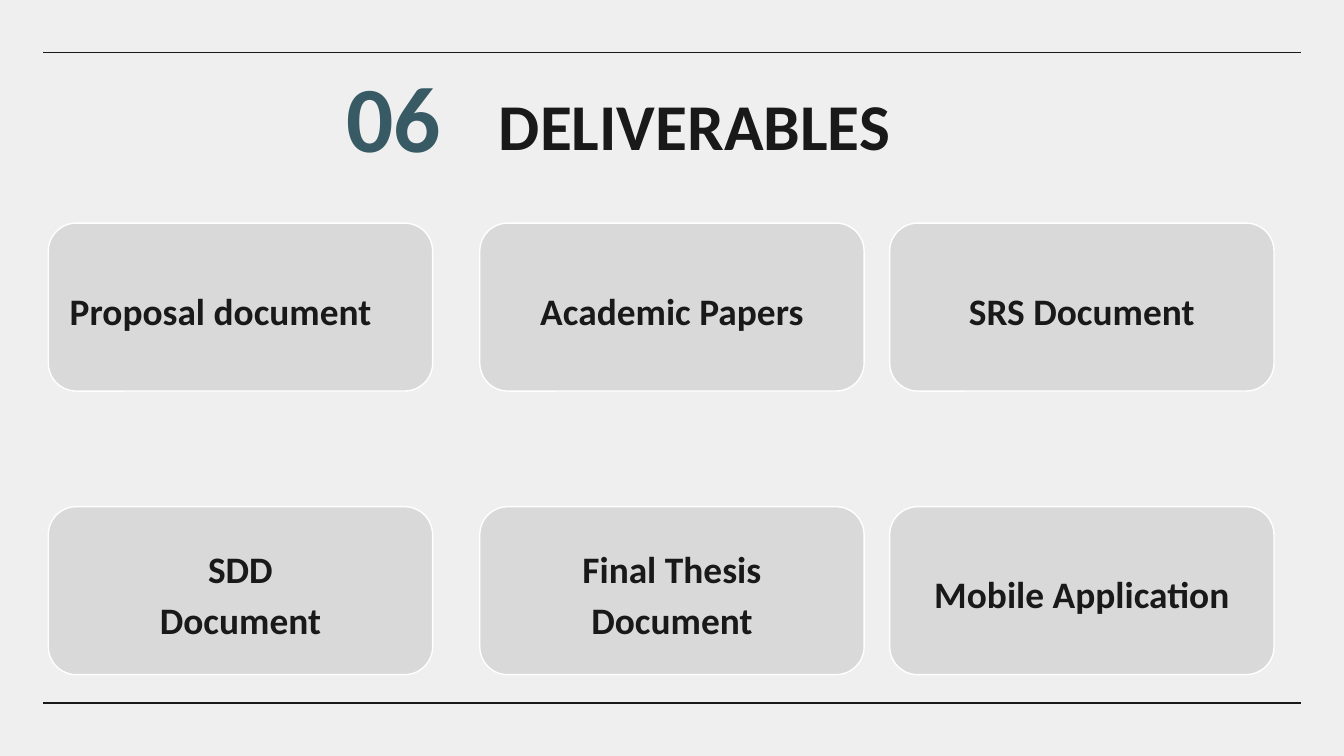
from dataclasses import dataclass

from lxml.etree import SubElement
from pptx import Presentation
from pptx.dml.color import RGBColor
from pptx.enum.shapes import MSO_CONNECTOR, MSO_SHAPE
from pptx.enum.text import MSO_ANCHOR as Anchor, MSO_AUTO_SIZE, PP_ALIGN as Align
from pptx.oxml.ns import qn
from pptx.slide import Slide
from pptx.text.text import TextFrame
from pptx.util import Inches, Pt

WIDTH = 10
HEIGHT = WIDTH * 9 / 16
FONT = "Calibri"
COLORS = {
    "background": "EFEFEF",
    "ink": "191919",
    "number": "385A64",
    "card": "D9D9D9",
    "border": "FFFFFF",
}
COLUMNS = (0.36, 3.57, 6.62)
ROWS = (1.66, 3.77)
CARD_WIDTH, CARD_HEIGHT = 2.86, 1.25
MARGIN = 0.32
RULES = (0.39, 5.23)


@dataclass(frozen=True)
class Card:
    text: str
    column: int
    row: int
    align: Align = Align.CENTER


CARDS = (
    Card("Proposal document", 0, 0, Align.LEFT),
    Card("SDD\nDocument", 0, 1),
    Card("Academic Papers", 1, 0),
    Card("SRS Document", 2, 0),
    Card("Final Thesis Document", 1, 1),
    Card("Mobile Application", 2, 1),
)


def color(name: str) -> RGBColor:
    return RGBColor.from_string(COLORS[name])


def write(tf: TextFrame, text: str, size: float, ink: str, align: Align,
          anchor: Anchor, spacing: float = 1.0) -> None:
    tf.text = text
    tf.word_wrap = True
    tf.auto_size = MSO_AUTO_SIZE.NONE
    tf.vertical_anchor = anchor
    tf.margin_left = tf.margin_right = tf.margin_top = tf.margin_bottom = Inches(0.1)
    for p in tf.paragraphs:
        p.alignment = align
        p.line_spacing = spacing
        p.space_before = Pt(0)
        p.font.name, p.font.size, p.font.bold = FONT, Pt(size), True
        p.font.color.rgb = color(ink)


def add_rule(s: Slide, y: float) -> None:
    line = s.shapes.add_connector(MSO_CONNECTOR.STRAIGHT, Inches(WIDTH - MARGIN), Inches(y),
                                  Inches(MARGIN), Inches(y))
    line.line.color.rgb = color("ink")
    line.line.width = Pt(0.75)
    SubElement(line._element.spPr, qn("a:effectLst"))


def add_heading(s: Slide, number: str, text: str) -> None:
    title = s.shapes.title
    title.left, title.top = Inches(2.73), Inches(0.53)
    title.width, title.height = Inches(4.88), Inches(0.63)
    write(title.text_frame, text, 35, "ink", Align.CENTER, Anchor.TOP)
    box = s.shapes.add_textbox(Inches(2.11), Inches(0.57), Inches(1.27), Inches(0.58))
    write(box.text_frame, number, 50, "number", Align.RIGHT, Anchor.MIDDLE)


def add_card(s: Slide, card: Card) -> None:
    sp = s.shapes.add_shape(MSO_SHAPE.ROUNDED_RECTANGLE,
                            Inches(COLUMNS[card.column]), Inches(ROWS[card.row]),
                            Inches(CARD_WIDTH), Inches(CARD_HEIGHT))
    sp.shadow.inherit = False
    sp.fill.solid()
    sp.fill.fore_color.rgb = color("card")
    sp.line.color.rgb = color("border")
    sp.line.width = Pt(0.75)
    write(sp.text_frame, card.text, 20, "ink", card.align, Anchor.MIDDLE, 1.15)


def main() -> None:
    prs = Presentation()
    prs.slide_width, prs.slide_height = Inches(WIDTH), Inches(HEIGHT)
    s = prs.slides.add_slide(prs.slide_layouts.get_by_name("Title Only"))
    s.background.fill.solid()
    s.background.fill.fore_color.rgb = color("background")
    for y in RULES:
        add_rule(s, y)
    add_heading(s, "06", "DELIVERABLES")
    for card in CARDS:
        add_card(s, card)
    prs.save("out.pptx")


if __name__ == "__main__":
    main()
